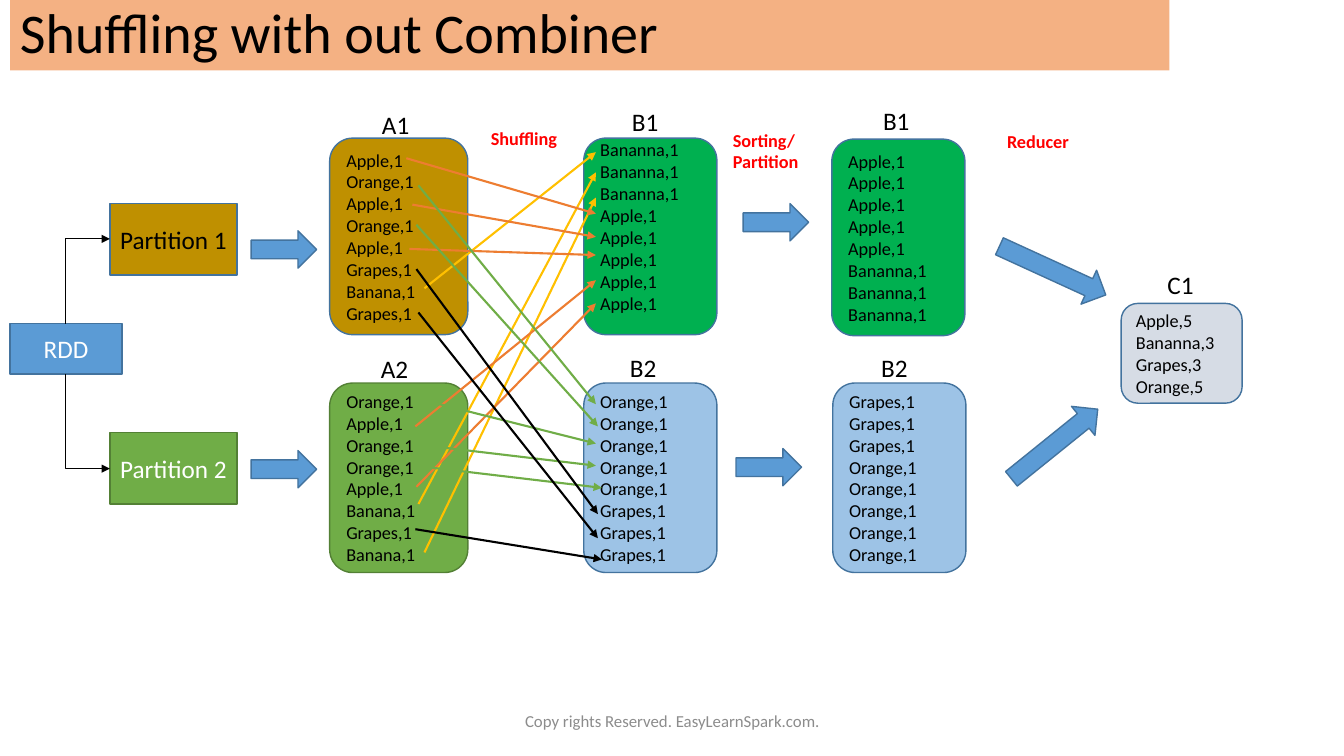
import pptx
import pptx.dml.color
import pptx.enum.shapes
import pptx.enum.text
import pptx.oxml
import pptx.oxml.ns
import pptx.util

PX = 9144  # EMU per px, 100 px to the inch
SHAPE = pptx.enum.shapes.MSO_SHAPE
CONNECTOR = pptx.enum.shapes.MSO_CONNECTOR
ALIGN = pptx.enum.text.PP_ALIGN
ANCHOR = pptx.enum.text.MSO_ANCHOR

BLACK, WHITE, RED, GREY = "000000", "FFFFFF", "FF0000", "8C8C8C"
PEACH, GOLD, GREEN, EMERALD = "F4B183", "BF9000", "70AD47", "00B050"
BLUE, SKY, MIST, YELLOW, ORANGE = "5B9BD5", "9DC3E6", "D6DCE5", "FFC000", "ED7D31"
BLUE_EDGE, GREEN_EDGE = "43739E", "538035"


def color(value):
    return pptx.dml.color.RGBColor.from_string(value)


def inside(box, left, top, width, height):
    return box[0] + left, box[1] + top, width, height


def write(shape, lines, size, font_color, align=ALIGN.LEFT, anchor=ANCHOR.MIDDLE, bold=False):
    frame = shape.text_frame
    frame.word_wrap = True
    frame.vertical_anchor = anchor
    frame.text = "\n".join(lines)
    for paragraph in frame.paragraphs:
        paragraph.alignment = align
        for run in paragraph.runs:
            run.font.name = "Calibri"
            run.font.size = pptx.util.Pt(size)
            run.font.bold = bold
            run.font.color.rgb = color(font_color)


def add_box(slide, kind, box, fill, edge=BLUE_EDGE):
    shape = slide.shapes.add_shape(kind, *(value * PX for value in box))
    shape.shadow.inherit = False
    shape.fill.solid()
    shape.fill.fore_color.rgb = color(fill)
    if edge:
        shape.line.color.rgb = color(edge)
        shape.line.width = pptx.util.Pt(1)
    else:
        shape.line.fill.background()
    return shape


def add_label(slide, box, text, size=18, font_color=BLACK, **style):
    shape = slide.shapes.add_textbox(*(value * PX for value in box))
    style.setdefault("anchor", ANCHOR.TOP)
    write(shape, [text], size, font_color, **style)


def add_stage(slide, box, text):
    add_label(slide, box, text, 13, RED, bold=True)


def add_records(slide, box, records, fill, edge=BLUE_EDGE):
    shape = add_box(slide, SHAPE.ROUNDED_RECTANGLE, box, fill, edge)
    write(shape, records, 13, BLACK)
    return shape


def add_block_arrow(slide, box, rotation=0):
    add_box(slide, SHAPE.RIGHT_ARROW, box, BLUE).rotation = rotation


def add_arrow_line(slide, kind, start, end, line_color, width):
    connector = slide.shapes.add_connector(kind, *(value * PX for value in (*start, *end)))
    connector.line.color.rgb = color(line_color)
    connector.line.width = pptx.util.Pt(width)
    tail = pptx.oxml.parse_xml(f'<a:tailEnd {pptx.oxml.ns.nsdecls("a")} type="triangle"/>')
    connector.line._get_or_add_ln().append(tail)
    effects = pptx.oxml.parse_xml(f'<a:effectLst {pptx.oxml.ns.nsdecls("a")}/>')
    connector._element.spPr.append(effects)
    return connector


def add_corner_arrow(slide, start, end):
    """Runs vertically from start, then right to end; its frame is turned a quarter."""
    middle_x, middle_y = (start[0] + end[0]) / 2, (start[1] + end[1]) / 2
    half_rise, half_run = (end[1] - start[1]) / 2, (end[0] - start[0]) / 2
    length = abs(half_rise)
    side = half_run if half_rise < 0 else -half_run
    frame_start = int(middle_x + length), int(middle_y + side)
    frame_end = int(middle_x - length), int(middle_y - side)
    connector = add_arrow_line(slide, CONNECTOR.ELBOW, frame_start, frame_end, BLACK, 0.5)
    connector.rotation = 90 if half_rise < 0 else 270
    geometry = connector._element.spPr.find(pptx.oxml.ns.qn("a:prstGeom"))
    geometry.set("prst", "bentConnector2")


def draw_title(slide, box):
    shape = add_box(slide, SHAPE.RECTANGLE, box, PEACH, None)
    write(shape, ["Shuffling with out Combiner"], 40, BLACK)
    shape.text_frame.paragraphs[0].line_spacing = 0.9


def draw_source(slide, box):
    # Partitions, each with its block arrow
    partitions = (
        (0, "Partition 1", GOLD, BLUE_EDGE, BLACK, 27),
        (227, "Partition 2", GREEN, GREEN_EDGE, WHITE, 245),
    )
    for top, name, fill, edge, font_color, arrow_top in partitions:
        shape = add_box(slide, SHAPE.RECTANGLE, inside(box, 99, top, 126, 71), fill, edge)
        write(shape, [name], 18, font_color, ALIGN.CENTER)
        add_block_arrow(slide, inside(box, 239, arrow_top, 65, 37))
    # Data set and its links to both partitions
    shape = add_box(slide, SHAPE.RECTANGLE, inside(box, 0, 119, 111, 50), BLUE)
    write(shape, ["RDD"], 18, WHITE, ALIGN.CENTER)
    for start_y, end_y in ((119, 35), (169, 263)):
        add_corner_arrow(slide, (box[0] + 55, box[1] + start_y), (box[0] + 99, box[1] + end_y))


def draw_shuffle(slide, box):
    # Records before and after shuffling
    a1 = "Apple,1 Orange,1 Apple,1 Orange,1 Apple,1 Grapes,1 Banana,1 Grapes,1".split()
    a2 = "Orange,1 Apple,1 Orange,1 Orange,1 Apple,1 Banana,1 Grapes,1 Banana,1".split()
    add_records(slide, inside(box, 0, 36, 137, 195), a1, GOLD)
    add_records(slide, inside(box, 0, 279, 137, 188), a2, GREEN, GREEN_EDGE)
    b1 = add_records(slide, inside(box, 252, 36, 132, 195),
                     ["Bananna,1"] * 3 + ["Apple,1"] * 5, EMERALD)
    b1.text_frame.margin_bottom = 25 * PX
    add_records(slide, inside(box, 252, 279, 132, 188),
                ["Orange,1"] * 5 + ["Grapes,1"] * 3, SKY)
    add_stage(slide, inside(box, 150, 20, 123, 32), "Shuffling")
    # Routes of the records, one colour per fruit
    routes = {
        YELLOW: ((94, 185, 264, 50), (88, 399, 264, 70), (94, 447, 264, 95)),
        ORANGE: ((76, 56, 264, 111), (82, 102, 264, 134), (79, 146, 264, 152),
                 (85, 322, 264, 177), (86, 382, 264, 200)),
        GREEN: ((88, 83, 264, 300), (86, 122, 266, 322), (93, 296, 264, 339),
                (87, 340, 264, 361), (93, 362, 270, 383)),
        BLACK: ((86, 166, 266, 409), (85, 424, 270, 454), (88, 209, 266, 433)),
    }
    for line_color, lines in routes.items():
        for x1, y1, x2, y2 in lines:
            add_arrow_line(slide, CONNECTOR.STRAIGHT, (box[0] + x1, box[1] + y1),
                           (box[0] + x2, box[1] + y2), line_color, 1.5)
    # Names above the lists
    for name, left, top in (("A1", 42, 3), ("A2", 41, 245), ("B1", 290, 0), ("B2", 288, 244)):
        add_label(slide, inside(box, left, top, 60, 40), name)


def draw_sort(slide, box):
    add_stage(slide, inside(box, 0, 23, 123, 54), "Sorting/Partition")
    add_records(slide, inside(box, 108, 38, 132, 195),
                ["Apple,1"] * 5 + ["Bananna,1"] * 3, EMERALD)
    add_records(slide, inside(box, 109, 280, 132, 188),
                ["Grapes,1"] * 3 + ["Orange,1"] * 5, SKY)
    for left, top in ((20, 102), (13, 345)):
        add_block_arrow(slide, inside(box, left, top, 65, 37))
    for name, left, top in (("B1", 149, 0), ("B2", 147, 245)):
        add_label(slide, inside(box, left, top, 48, 40), name)


def draw_reduce(slide, box):
    add_stage(slide, inside(box, 3, 0, 123, 32), "Reducer")
    add_records(slide, inside(box, 126, 177, 120, 99),
                ["Apple,5", "Bananna,3", "Grapes,3", "Orange,5"], MIST)
    add_block_arrow(slide, inside(box, 0, 126, 116, 37), 24.6)
    add_block_arrow(slide, inside(box, 5, 298, 110, 37), 321.1)
    add_label(slide, inside(box, 162, 138, 48, 40), "C1")


def draw_footer(slide, box):
    add_label(slide, box, "Copy rights Reserved. EasyLearnSpark.com.", 12, GREY,
              align=ALIGN.CENTER, anchor=ANCHOR.MIDDLE)


def main():
    presentation = pptx.Presentation()
    presentation.slide_width = 1333 * PX
    presentation.slide_height = 750 * PX
    slide = presentation.slides.add_slide(presentation.slide_layouts[6])
    draw_title(slide, (10, 0, 1150, 70))
    draw_source(slide, (10, 202, 304, 298))
    draw_shuffle(slide, (327, 101, 384, 467))
    draw_sort(slide, (717, 100, 241, 468))
    draw_reduce(slide, (986, 124, 246, 335))
    draw_footer(slide, (442, 695, 450, 40))
    presentation.save("out.pptx")


if __name__ == "__main__":
    main()
